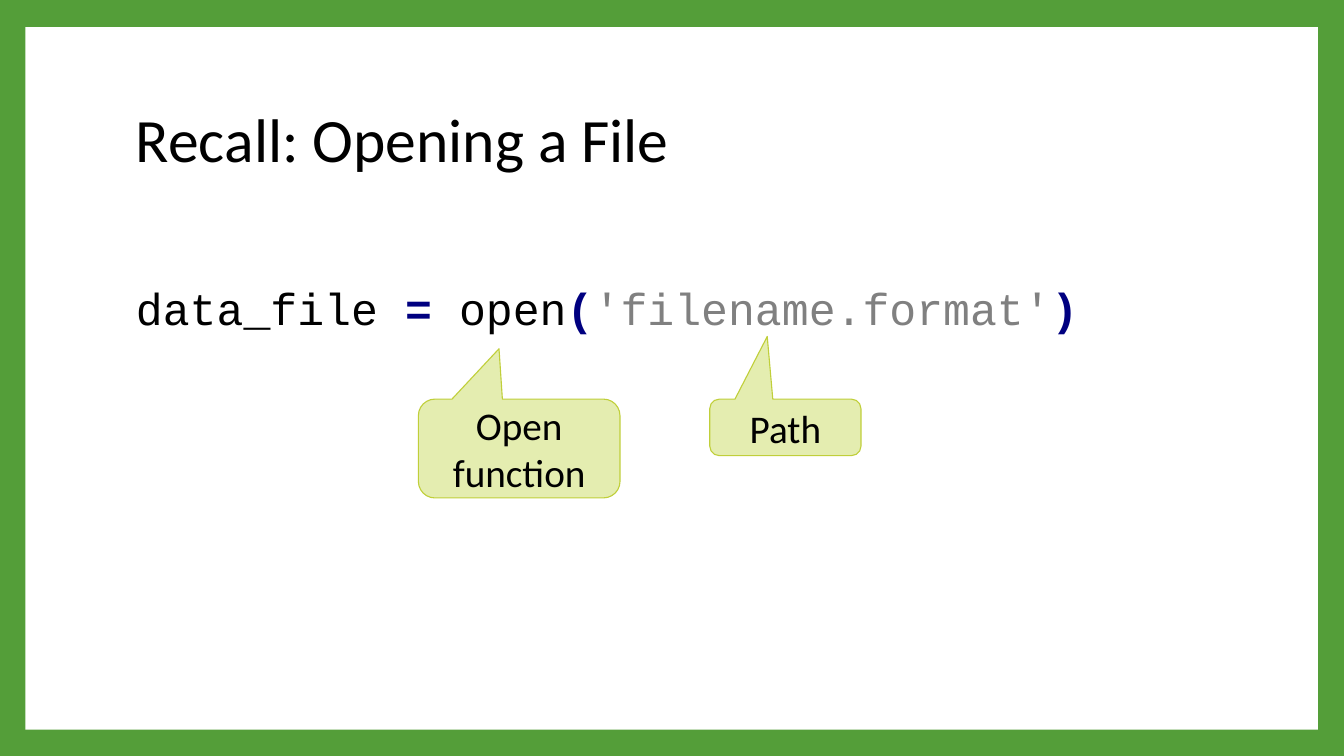
import pptx
import pptx.util
import pptx.dml.color
import pptx.enum.shapes
import pptx.enum.text

RGBColor = pptx.dml.color.RGBColor
MSO_SHAPE = pptx.enum.shapes.MSO_SHAPE
MSO_ANCHOR = pptx.enum.text.MSO_ANCHOR
PP_ALIGN = pptx.enum.text.PP_ALIGN

GREEN = RGBColor(0x54, 0x9E, 0x39)
WHITE = RGBColor(0xFF, 0xFF, 0xFF)
BLACK = RGBColor(0x00, 0x00, 0x00)
NAVY = RGBColor(0x00, 0x00, 0x80)
GRAY = RGBColor(0x80, 0x80, 0x80)
LIME = RGBColor(0xC0, 0xCF, 0x3A)
PALE_LIME = RGBColor(0xE4, 0xED, 0xB0)

WIDTH = pptx.util.Inches(13.33)
HEIGHT = pptx.util.Inches(7.5)
LEFT = 9.38
CALLOUT_TOP = 52.8


def place(x, y, w, h):
    return [round(share * side / 100)
            for share, side in zip((x, y, w, h), (WIDTH, HEIGHT) * 2)]


def set_font(font, name, size):
    font.name = name
    font.size = pptx.util.Pt(size)


def add_panel(s, box):
    sp = s.shapes.add_shape(MSO_SHAPE.RECTANGLE, *place(*box))
    sp.shadow.inherit = False
    sp.fill.solid()
    sp.fill.fore_color.rgb = WHITE
    sp.line.fill.background()


def add_title(s, box, text):
    tf = s.shapes.add_textbox(*place(*box)).text_frame
    tf.word_wrap = True
    tf.vertical_anchor = MSO_ANCHOR.MIDDLE
    p = tf.paragraphs[0]
    p.text = text
    p.line_spacing = 0.9
    set_font(p.font, "Calibri", 44)
    p.font.color.rgb = BLACK


def add_code(s, box, tokens):
    tf = s.shapes.add_textbox(*place(*box)).text_frame
    tf.word_wrap = False
    p = tf.paragraphs[0]
    set_font(p.font, "Courier New", 32)
    for text, color in tokens:
        r = p.add_run()
        r.text = text
        r.font.color.rgb = color
        r.font.bold = color == NAVY


def add_callout(s, box, tip, text):
    sp = s.shapes.add_shape(MSO_SHAPE.ROUNDED_RECTANGULAR_CALLOUT, *place(*box))
    sp.shadow.inherit = False
    sp.adjustments[0], sp.adjustments[1] = tip
    sp.fill.solid()
    sp.fill.fore_color.rgb = PALE_LIME
    sp.line.color.rgb = LIME
    sp.line.width = pptx.util.Pt(0.79)
    tf = sp.text_frame
    tf.word_wrap = True
    tf.vertical_anchor = MSO_ANCHOR.MIDDLE
    p = tf.paragraphs[0]
    p.text = text
    p.alignment = PP_ALIGN.CENTER
    set_font(p.font, "Calibri", 28)
    p.font.color.rgb = BLACK


def main():
    prs = pptx.Presentation()
    prs.slide_width, prs.slide_height = WIDTH, HEIGHT
    s = prs.slides.add_slide(prs.slide_layouts[6])
    s.background.fill.solid()
    s.background.fill.fore_color.rgb = GREEN

    add_panel(s, (1.88, 3.6, 96.17, 92.93))
    add_title(s, (LEFT, 8.93, 81.02, 19.73), "Recall: Opening a File")
    add_code(s, (LEFT, 36.53, 72.39, 8.53), [
        ("data_file ", BLACK),
        ("=", NAVY),
        (" open", BLACK),
        ("(", NAVY),
        ("'filename.format'", GRAY),
        (")", NAVY),
    ])
    add_callout(s, (31.13, CALLOUT_TOP, 15, 13.07), (-0.1, -1.01), "Open function")
    add_callout(s, (52.81, CALLOUT_TOP, 11.25, 7.47), (-0.12, -1.61), "Path")
    prs.save("out.pptx")


if __name__ == "__main__":
    main()
